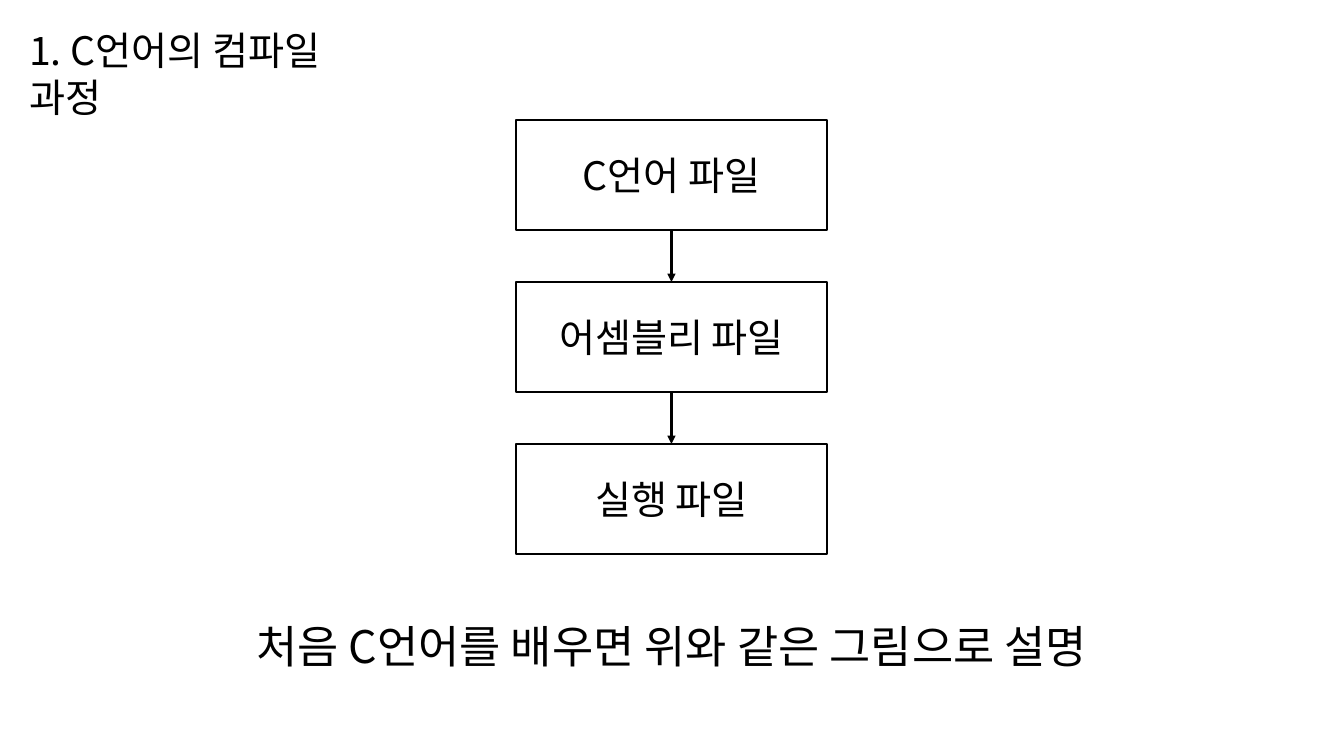
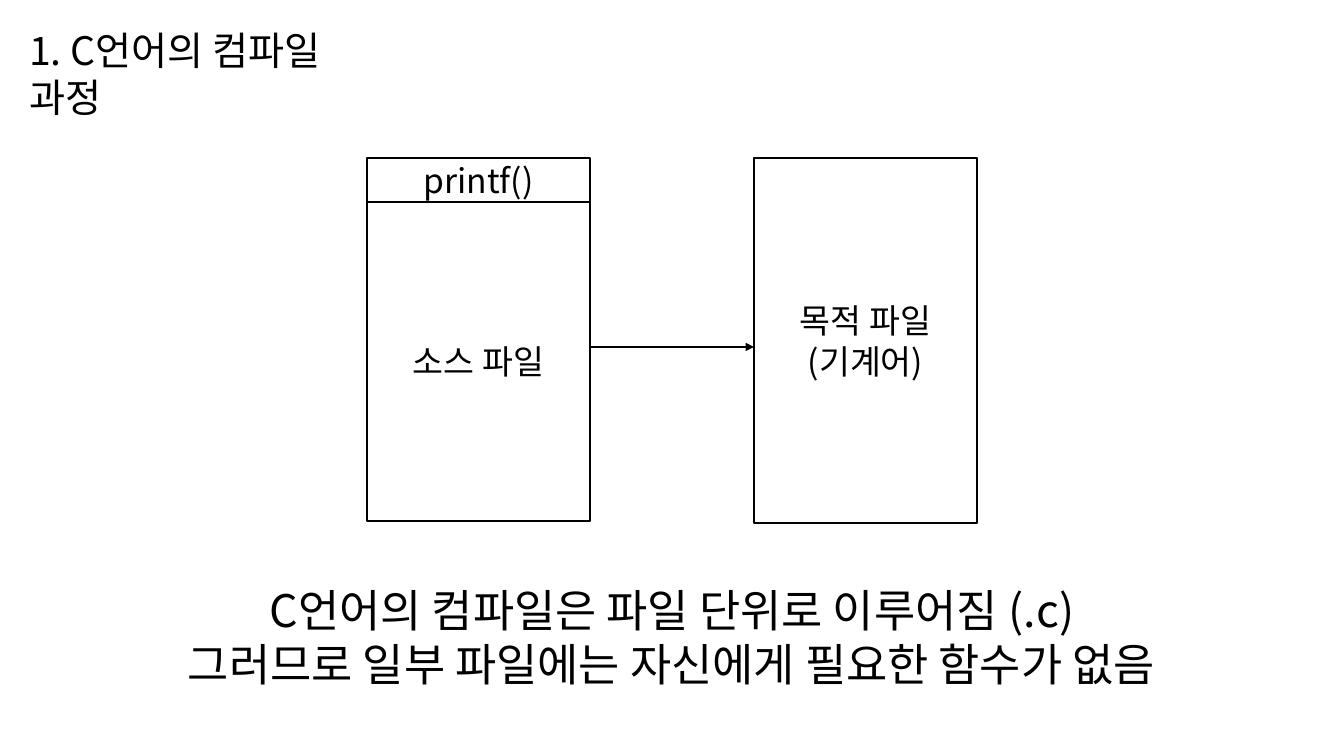
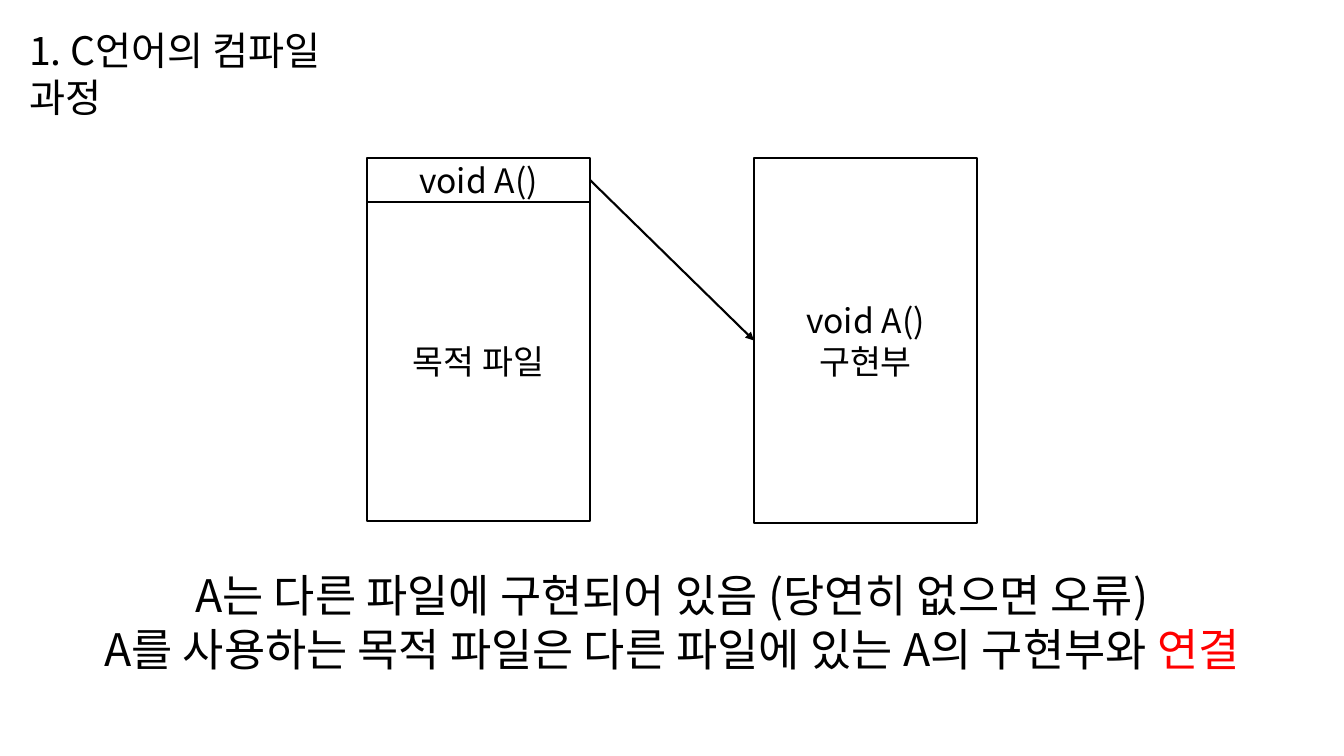
"""Build three slides that explain how C source is compiled and linked."""
from dataclasses import dataclass
from itertools import pairwise

from lxml.etree import SubElement
from pptx import Presentation
from pptx.dml.color import RGBColor
from pptx.enum.shapes import MSO_CONNECTOR as Connector, MSO_SHAPE as Preset
from pptx.enum.text import MSO_ANCHOR as Anchor, MSO_AUTO_SIZE as AutoSize, PP_ALIGN as Align
from pptx.oxml.ns import qn
from pptx.util import Pt

EMU_PER_PX = 914400 / 100.8
SLIDE_WIDTH, SLIDE_HEIGHT = 1344, 756
TITLE_ONLY = 5
TOP, LEFT, BOTTOM, RIGHT = range(4)


@dataclass(frozen=True)
class Theme:
    font: str = "Noto Sans CJK KR"
    ink: str = "000000"
    paper: str = "FFFFFF"
    accent: str = "FF0000"
    title: int = 28
    step: int = 28
    file: int = 24
    caption: int = 32
    line: float = 1.5


THEME = Theme()

TITLE = "1. C언어의 컴파일 과정"
TITLE_BOX = (19, 21, 391, 57)

STEPS = ["C언어 파일", "어셈블리 파일", "실행 파일"]
STEP_LEFT, STEP_TOP, STEP_WIDTH, STEP_HEIGHT, STEP_GAP = 516, 120, 311, 110, 52
STEP_CAPTION = {
    "top": 614, "width": 868, "height": 65,
    "lines": ["처음 C언어를 배우면 위와 같은 그림으로 설명"],
}

FILE_PAIRS = [
    {
        "function": ["printf()"],
        "source": ["소스 파일"],
        "target": ["목적 파일", "(기계어)"],
        "level_arrow": 347,
        "caption": {
            "top": 578, "width": 1005, "height": 119,
            "lines": [
                "C언어의 컴파일은 파일 단위로 이루어짐 (.c)",
                "그러므로 일부 파일에는 자신에게 필요한 함수가 없음",
            ],
        },
    },
    {
        "function": ["void A()"],
        "source": ["목적 파일"],
        "target": ["void A()", "구현부"],
        "level_arrow": None,
        "caption": {
            "top": 563, "width": 1167, "height": 119,
            "lines": [
                "A는 다른 파일에 구현되어 있음 (당연히 없으면 오류)",
                [("A를 사용하는 목적 파일은 다른 파일에 있는 A의 구현부와 ", THEME.ink),
                 ("연결", THEME.accent)],
            ],
        },
    },
]
FILE_TOP, FILE_WIDTH, FUNCTION_HEIGHT = 158, 223, 44
SOURCE_LEFT, SOURCE_HEIGHT = 367, 319
TARGET_LEFT, TARGET_HEIGHT = 754, 365


def px(*lengths):
    return [round(length * EMU_PER_PX) for length in lengths]


def write(text_frame, lines, *, size, align=Align.CENTER, anchor=Anchor.MIDDLE):
    text_frame.word_wrap = True
    text_frame.auto_size = AutoSize.NONE
    text_frame.vertical_anchor = anchor
    for index, line in enumerate(lines):
        paragraph = text_frame.add_paragraph() if index else text_frame.paragraphs[0]
        paragraph.alignment = align
        for text, color in [(line, THEME.ink)] if isinstance(line, str) else line:
            run = paragraph.add_run()
            run.text = text
            run.font.size = Pt(size)
            run.font.color.rgb = RGBColor.from_string(color)
            run.font.name = THEME.font
            SubElement(run.font._element, qn("a:ea"), typeface=THEME.font)


def add_titled_slide(presentation):
    slide = presentation.slides.add_slide(presentation.slide_layouts[TITLE_ONLY])
    title = slide.shapes.title
    title.left, title.top, title.width, title.height = px(*TITLE_BOX)
    write(title.text_frame, [TITLE], size=THEME.title, align=Align.LEFT, anchor=Anchor.TOP)
    return slide


def add_caption(slide, top, width, height, lines):
    left = (SLIDE_WIDTH - width) / 2
    shape = slide.shapes.add_textbox(*px(left, top, width, height))
    write(shape.text_frame, lines, size=THEME.caption, anchor=Anchor.TOP)


def add_box(slide, lines, left, top, width, height, size):
    shape = slide.shapes.add_shape(Preset.RECTANGLE, *px(left, top, width, height))
    shape.shadow.inherit = False
    shape.fill.solid()
    shape.fill.fore_color.rgb = RGBColor.from_string(THEME.paper)
    shape.line.color.rgb = RGBColor.from_string(THEME.ink)
    shape.line.width = Pt(THEME.line)
    write(shape.text_frame, lines, size=size)
    return shape


def add_arrow(slide, start=(0, 0), end=(0, 0)):
    arrow = slide.shapes.add_connector(Connector.STRAIGHT, *px(*start, *end))
    arrow.line.color.rgb = RGBColor.from_string(THEME.ink)
    arrow.line.width = Pt(THEME.line)
    SubElement(arrow.line._get_or_add_ln(), qn("a:tailEnd"), type="triangle")
    SubElement(arrow._element.spPr, qn("a:effectLst"))
    return arrow


def join(slide, start, start_side, end, end_side):
    arrow = add_arrow(slide)
    arrow.begin_connect(start, start_side)
    arrow.end_connect(end, end_side)


def add_steps_slide(presentation):
    slide = add_titled_slide(presentation)
    add_caption(slide, **STEP_CAPTION)
    boxes = [
        add_box(slide, [step], STEP_LEFT, STEP_TOP + index * (STEP_HEIGHT + STEP_GAP),
                STEP_WIDTH, STEP_HEIGHT, THEME.step)
        for index, step in enumerate(STEPS)
    ]
    for upper, lower in pairwise(boxes):
        join(slide, upper, BOTTOM, lower, TOP)


def add_files_slide(presentation, function, source, target, level_arrow, caption):
    slide = add_titled_slide(presentation)
    add_caption(slide, **caption)
    add_box(slide, source, SOURCE_LEFT, FILE_TOP + FUNCTION_HEIGHT,
            FILE_WIDTH, SOURCE_HEIGHT, THEME.file)
    function_box = add_box(slide, function, SOURCE_LEFT, FILE_TOP,
                           FILE_WIDTH, FUNCTION_HEIGHT, THEME.file)
    target_box = add_box(slide, target, TARGET_LEFT, FILE_TOP,
                         FILE_WIDTH, TARGET_HEIGHT, THEME.file)
    if level_arrow:
        add_arrow(slide, (SOURCE_LEFT + FILE_WIDTH, level_arrow), (TARGET_LEFT, level_arrow))
    else:
        join(slide, function_box, RIGHT, target_box, LEFT)


def main():
    presentation = Presentation()
    presentation.slide_width, presentation.slide_height = px(SLIDE_WIDTH, SLIDE_HEIGHT)
    add_steps_slide(presentation)
    for pair in FILE_PAIRS:
        add_files_slide(presentation, **pair)
    presentation.save("out.pptx")


if __name__ == "__main__":
    main()
